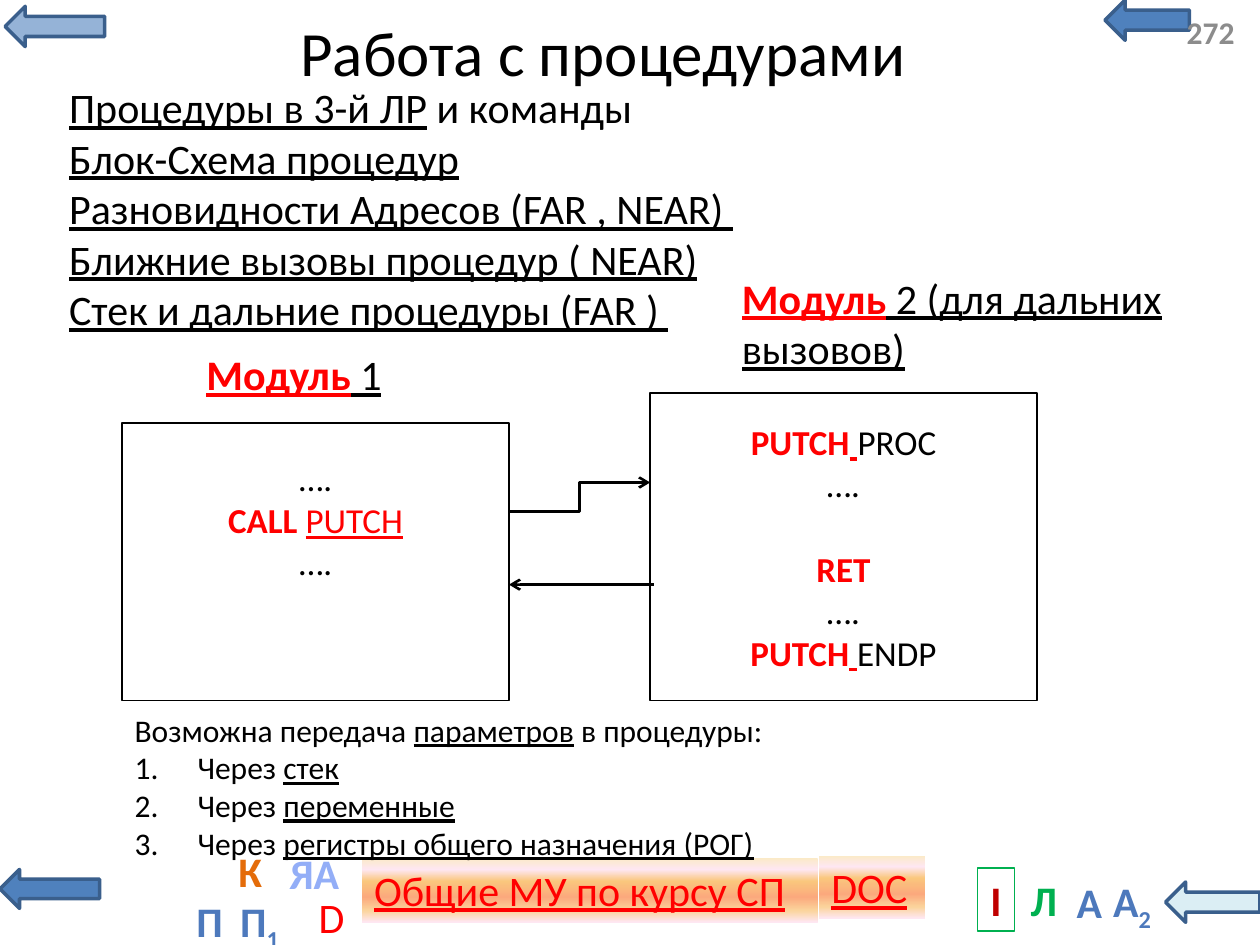
"""Build the slide about working with procedures and their parameters."""
from dataclasses import dataclass

from pptx import Presentation
from pptx.dml.color import RGBColor
from pptx.enum.shapes import MSO_CONNECTOR, MSO_SHAPE
from pptx.enum.text import MSO_ANCHOR, PP_ALIGN
from pptx.oxml.ns import qn
from pptx.oxml.xmlchemy import OxmlElement
from pptx.util import Inches, Pt


@dataclass(frozen=True)
class Theme:
    font: str = "Calibri"
    title: int = 36
    body: int = 24
    code: int = 20
    small: int = 18
    black: str = "000000"
    white: str = "FFFFFF"
    red: str = "FF0000"
    crimson: str = "C00000"
    green: str = "00B050"
    orange: str = "E46C0A"
    blue: str = "4F81BD"
    letter: str = "4D79BC"
    navy: str = "3A5F8C"
    pale_blue: str = "95B3D7"
    ice: str = "DBEEF4"
    periwinkle: str = "93AEF7"
    grey: str = "8C8C8C"
    sunset: tuple = ((0, "FBEAC7"), (18, "FEE7F2"), (36, "FAC77D"),
                     (61, "FBA97D"), (82, "FBD49C"), (100, "FEE7F2"))


T = Theme()


def add_box(box, fill=None, line=None, width=1, shape=MSO_SHAPE.RECTANGLE):
    sp = s.shapes.add_shape(shape, *map(Inches, box))
    sp.shadow.inherit = False
    if fill:
        sp.fill.solid()
        sp.fill.fore_color.rgb = RGBColor.from_string(fill)
    else:
        sp.fill.background()
    if line:
        sp.line.color.rgb = RGBColor.from_string(line)
        sp.line.width = Pt(width)
    else:
        sp.line.fill.background()
    return sp


def write(sp, paragraphs, size, align=PP_ALIGN.LEFT, anchor=MSO_ANCHOR.TOP, wrap=True):
    tf = sp.text_frame
    tf.word_wrap = wrap
    tf.vertical_anchor = anchor
    for i, runs in enumerate(paragraphs):
        p = tf.paragraphs[0] if i == 0 else tf.add_paragraph()
        p.alignment = align
        for text, color, style in runs:
            r = p.add_run()
            r.text = text
            r.font.name = T.font
            r.font.size = Pt(size)
            r.font.color.rgb = RGBColor.from_string(color)
            r.font.bold = "b" in style
            r.font.underline = "u" in style
            if "s" in style:
                r.font._element.set("baseline", "-25000")
    return tf


prs = Presentation()
prs.slide_width, prs.slide_height = Inches(10), Inches(7.5)
s = prs.slides.add_slide(prs.slide_layouts[6])

for box, fill in [
    ((8.77, 0, 0.67, 0.32), T.blue),
    ((0, 6.9, 0.79, 0.31), T.blue),
    ((0.04, 0.05, 0.79, 0.32), T.pale_blue),
    ((9.25, 7, 0.75, 0.32), T.ice),
]:
    add_box(box, fill, T.navy, 2, MSO_SHAPE.LEFT_ARROW)

for box, label in [
    ((2.87, 6.81, 3.62, 0.51), "Общие МУ по курсу СП"),
    ((6.5, 6.79, 0.84, 0.5), "DOC"),
]:
    sp = add_box(box)
    sp.fill.gradient()
    sp.fill.gradient_angle = 270
    stops = sp._element.spPr.find(qn("a:gradFill")).find(qn("a:gsLst"))
    stops.clear()
    for position, color in T.sunset:
        gs = OxmlElement("a:gs")
        gs.set("pos", str(position * 1000))
        clr = OxmlElement("a:srgbClr")
        clr.set("val", color)
        gs.append(clr)
        stops.append(gs)
    write(sp, [[(label, T.red, "u")]], T.body)

for box, line, runs, wrap in [
    ((8.44, 6.91, 0.41, 0.5), None, [("А", T.letter, "b")], False),
    ((1.79, 6.66, 0.39, 0.5), None, [("К", T.orange, "b")], False),
    ((2.43, 7.03, 0.39, 0.5), T.white, [("D", T.red, "")], True),
    ((7.76, 6.89, 0.29, 0.5), T.green, [("I", T.crimson, "b")], False),
    ((8.08, 6.89, 0.41, 0.5), None, [("Л", T.green, "b")], False),
    ((8.72, 6.9, 0.53, 0.5), None, [("А", T.letter, "b"), ("2", T.letter, "bs")], True),
    ((2.18, 6.68, 0.63, 0.5), None, [("ЯА", T.periwinkle, "b")], False),
    ((1.46, 7.06, 0.33, 0.5), None, [("П", T.letter, "b")], True),
    ((1.79, 7.06, 0.54, 0.5), None, [("П", T.letter, "b"), ("1", T.letter, "bs")], True),
]:
    if line:
        sp = add_box(box, None, line, 0.75)
    else:
        sp = s.shapes.add_textbox(*map(Inches, box))
    write(sp, [runs], T.body, PP_ALIGN.CENTER, wrap=wrap)

title = s.shapes.add_textbox(Inches(2.13), Inches(0.02), Inches(5.31), Inches(0.77))
write(title, [[("Работа с процедурами", T.black, "")]], T.title, PP_ALIGN.CENTER, MSO_ANCHOR.MIDDLE)

number = s.shapes.add_textbox(Inches(9.32), Inches(0.05), Inches(0.64), Inches(0.4))
write(number, [[("272", T.grey, "b")]], T.small, anchor=MSO_ANCHOR.MIDDLE)

topics = s.shapes.add_textbox(Inches(0.45), Inches(0.6), Inches(8.82), Inches(2.12))
write(topics, [
    [("Процедуры в 3-й ЛР", T.black, "u"), (" и команды", T.black, "")],
    [("Блок-Схема процедур", T.black, "u")],
    [("Разновидности Адресов (FAR , NEAR) ", T.black, "u")],
    [("Ближние вызовы процедур ( NEAR)", T.black, "u")],
    [("Стек и дальние процедуры (FAR ) ", T.black, "u")],
], T.body)

dots = [("….", T.black, "")]
caller = add_box((0.97, 3.36, 3.07, 2.2), None, T.black)
tf = write(caller, [
    dots,
    [("CALL ", T.red, "b"), ("PUTCH", T.red, "u")],
    dots,
], T.code, PP_ALIGN.CENTER, MSO_ANCHOR.MIDDLE)
tf.margin_bottom = Inches(0.72)

callee = add_box((5.16, 3.12, 3.07, 2.44), None, T.black)
putch = [("PUTCH", T.red, "b"), (" ", T.red, "u")]
tf = write(callee, [
    putch + [("PROC", T.black, "")],
    dots,
    [("RET", T.red, "b")],
    dots,
    putch + [("ENDP", T.black, "")],
], T.code, PP_ALIGN.CENTER, MSO_ANCHOR.MIDDLE)
tf.paragraphs[2].space_before = Pt(24.4)

for kind, ends in [
    (MSO_CONNECTOR.ELBOW, (4.04, 4.06, 5.16, 3.83)),
    (MSO_CONNECTOR.STRAIGHT, (5.19, 4.64, 4.04, 4.64)),
]:
    arrow = s.shapes.add_connector(kind, *map(Inches, ends))
    arrow.line.color.rgb = RGBColor.from_string(T.black)
    arrow.line.width = Pt(1.5)
    tail = OxmlElement("a:tailEnd")
    tail.set("type", "arrow")
    arrow.line._get_or_add_ln().append(tail)
    arrow._element.spPr.append(OxmlElement("a:effectLst"))

for box, caption in [
    ((1.54, 2.72, 2.05, 0.5), " 1"),
    ((5.79, 2.11, 3.94, 0.91), " 2 (для дальних вызовов)"),
]:
    sp = s.shapes.add_textbox(*map(Inches, box))
    write(sp, [[("Модуль", T.red, "bu"), (caption, T.black, "u")]], T.body)

ways = ["стек", "переменные", "регистры общего назначения (РОГ)"]
parameters = s.shapes.add_textbox(Inches(0.97), Inches(5.59), Inches(6.55), Inches(1.31))
tf = write(parameters, [
    [("Возможна передача ", T.black, ""), ("параметров", T.black, "u"), (" в процедуры:", T.black, "")],
    *[[("Через ", T.black, ""), (way, T.black, "u")] for way in ways],
], T.small)
for p in tf.paragraphs[1:]:
    pPr = p._p.get_or_add_pPr()
    pPr.set("marL", str(Inches(0.5)))
    pPr.set("indent", str(Inches(-0.5)))
    bullet = OxmlElement("a:buAutoNum")
    bullet.set("type", "arabicPeriod")
    pPr.append(bullet)

prs.save("out.pptx")
